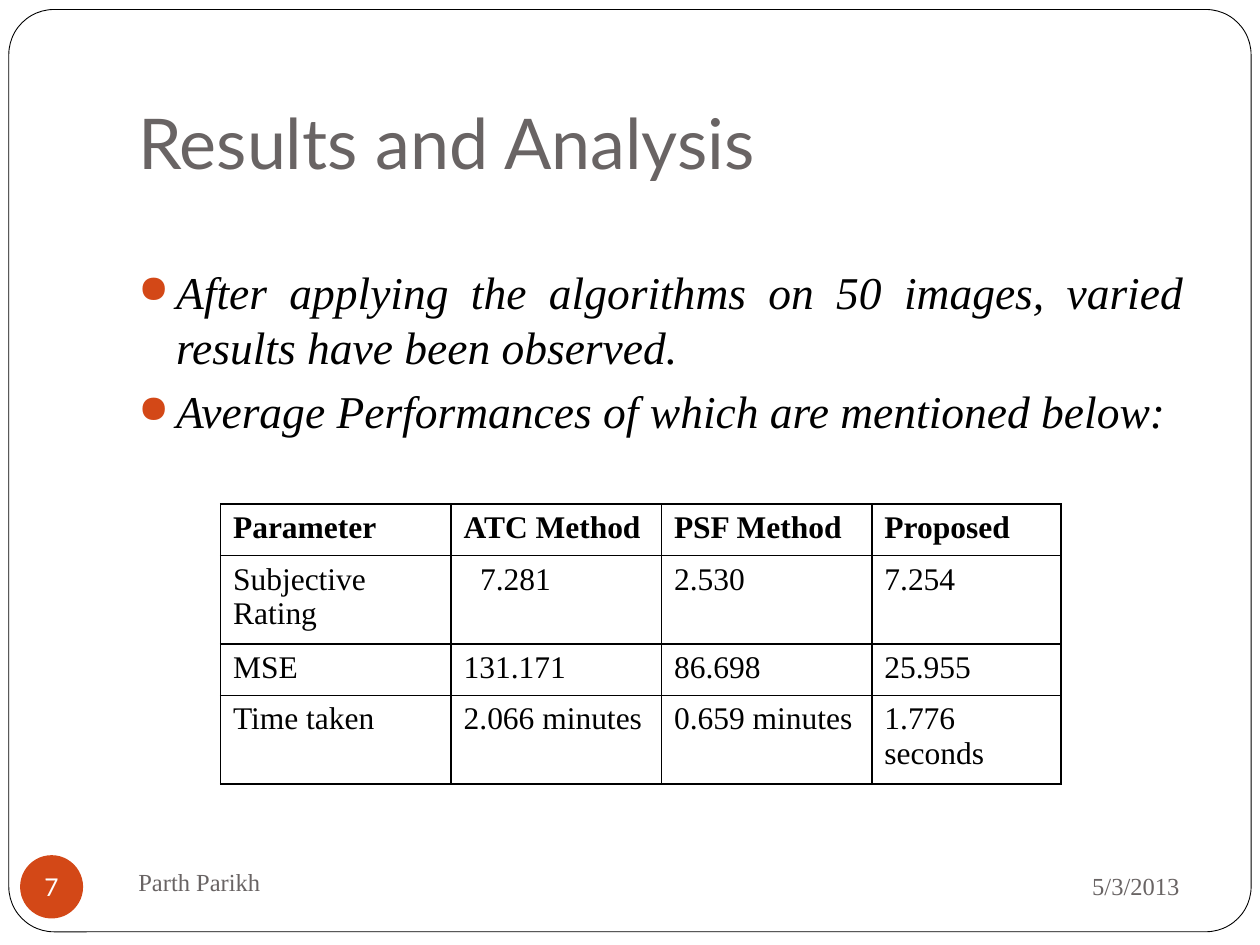
import pptx
import pptx.util
import pptx.dml.color
import pptx.enum.shapes
import pptx.enum.text
import pptx.oxml
import pptx.oxml.ns
import lxml.etree

WIDTH, HEIGHT = 10, 7.5
SERIF, SANS = "Times New Roman", "Lato"
BLACK, WHITE, GREY, ORANGE = "000000", "FFFFFF", "696464", "D34817"
ALIGN = pptx.enum.text.PP_ALIGN
ANCHOR = pptx.enum.text.MSO_ANCHOR
SHAPE = pptx.enum.shapes.MSO_SHAPE
Inches, Pt = pptx.util.Inches, pptx.util.Pt

BULLETS = [
    "After applying the algorithms on 50 images, varied results have been observed.",
    "Average Performances of which are mentioned below:",
]
RESULTS = [
    ["Parameter", "ATC Method", "PSF Method", "Proposed"],
    ["Subjective Rating", "7.281", "2.530", "7.254"],
    ["MSE", "131.171", "86.698", "25.955"],
    ["Time taken", "2.066 minutes", "0.659 minutes", "1.776 seconds"],
]
COLUMN_WIDTHS = [1.83, 1.67, 1.67, 1.5]
ROW_HEIGHT = 0.41


def color(hex_value):
    return pptx.dml.color.RGBColor.from_string(hex_value)


def place(left, top, width, height):
    """Turn shares of the slide's size into lengths."""
    return [Inches(share * side) for share, side in
            zip((left, top, width, height), (WIDTH, HEIGHT, WIDTH, HEIGHT))]


def apply(target, values):
    for name, value in values.items():
        setattr(target, name, value)


def write(para, text, size, font, hex_value, **values):
    span = para.add_run()
    span.text = text
    apply(span.font, {"size": Pt(size), "name": font, **values})
    span.font.color.rgb = color(hex_value)


def add_xml(parent, tag, **attributes):
    child = lxml.etree.SubElement(parent, pptx.oxml.ns.qn(tag))
    for name, value in attributes.items():
        child.set(name, str(value))
    return child


def add_box(page, area, anchor):
    box = page.shapes.add_textbox(*place(*area))
    apply(box.text_frame, {"word_wrap": True, "vertical_anchor": anchor})
    return box.text_frame


def add_label(page, area, text, size, font, anchor, align=ALIGN.LEFT):
    frame = add_box(page, area, anchor)
    frame.paragraphs[0].alignment = align
    write(frame.paragraphs[0], text, size, font, GREY)
    return frame


def add_plain_shape(page, kind, area, fill):
    shape = page.shapes.add_shape(kind, *place(*area))
    shape.shadow.inherit = False
    shape.fill.solid()
    shape.fill.fore_color.rgb = color(fill)
    return shape


def add_frame(page):
    frame = add_plain_shape(page, SHAPE.ROUNDED_RECTANGLE,
                            (0.007, 0.01, 0.986, 0.976), WHITE)
    frame.adjustments[0] = 0.049
    frame.line.color.rgb = color(BLACK)
    frame.line.width = Pt(0.5)


def add_page_number(page, number):
    badge = add_plain_shape(page, SHAPE.OVAL, (0.016, 0.905, 0.05, 0.067), ORANGE)
    badge.line.fill.background()
    apply(badge.text_frame, {"word_wrap": False, "vertical_anchor": ANCHOR.MIDDLE,
                             "margin_left": 0, "margin_right": 0,
                             "margin_top": 0, "margin_bottom": 0})
    para = badge.text_frame.paragraphs[0]
    para.alignment = ALIGN.CENTER
    write(para, number, 14, SANS, WHITE)


def add_bullets(page, area, lines):
    frame = add_box(page, area, ANCHOR.TOP)
    for index, line in enumerate(lines):
        para = frame.add_paragraph() if index else frame.paragraphs[0]
        apply(para, {"alignment": ALIGN.JUSTIFY, "space_before": Pt(5.8)})
        write(para, line, 26, SERIF, BLACK, italic=True)
        properties = para._p.get_or_add_pPr()
        properties.set("marL", str(Inches(0.3)))
        properties.set("indent", str(Inches(-0.3)))
        add_xml(add_xml(properties, "a:buClr"), "a:srgbClr", val=ORANGE)
        add_xml(properties, "a:buSzPct", val=85000)
        add_xml(properties, "a:buChar", char="●")


def add_borders(cell):
    properties = cell._tc.get_or_add_tcPr()
    for position, side in enumerate(("a:lnL", "a:lnR", "a:lnT", "a:lnB")):
        line = add_xml(properties, side, w=Pt(1))
        add_xml(add_xml(line, "a:solidFill"), "a:srgbClr", val=BLACK)
        properties.insert(position, line)


def add_results_table(page, left, top):
    table = page.shapes.add_table(
        len(RESULTS), len(COLUMN_WIDTHS), Inches(left), Inches(top),
        Inches(sum(COLUMN_WIDTHS)), Inches(ROW_HEIGHT * len(RESULTS))).table
    apply(table, {"first_row": False, "horz_banding": False})
    for column, width in zip(table.columns, COLUMN_WIDTHS):
        column.width = Inches(width)
    for row_index, texts in enumerate(RESULTS):
        table.rows[row_index].height = Inches(ROW_HEIGHT)
        for column_index, text in enumerate(texts):
            cell = table.cell(row_index, column_index)
            cell.fill.background()
            add_borders(cell)
            write(cell.text_frame.paragraphs[0], text, 18, SERIF, BLACK,
                  bold=row_index == 0)
    table.cell(1, 1).margin_left = Inches(0.23)


def main():
    deck = pptx.Presentation()
    apply(deck, {"slide_width": Inches(WIDTH), "slide_height": Inches(HEIGHT)})
    page = deck.slides.add_slide(deck.slide_layouts[6])
    add_frame(page)
    title = add_label(page, (0.1, 0.04, 0.85, 0.167), "Results and Analysis",
                      40, SANS, ANCHOR.BOTTOM)
    title.margin_bottom = Inches(0.1)
    add_label(page, (0.675, 0.903, 0.271, 0.069), "5/3/2013",
              14, SERIF, ANCHOR.MIDDLE, ALIGN.RIGHT)
    add_label(page, (0.1, 0.9, 0.433, 0.067), "Parth Parikh",
              14, SERIF, ANCHOR.MIDDLE)
    add_page_number(page, "7")
    add_bullets(page, (0.1, 0.273, 0.85, 0.24), BULLETS)
    add_results_table(page, 1.75, 4)
    deck.save("out.pptx")


if __name__ == "__main__":
    main()
